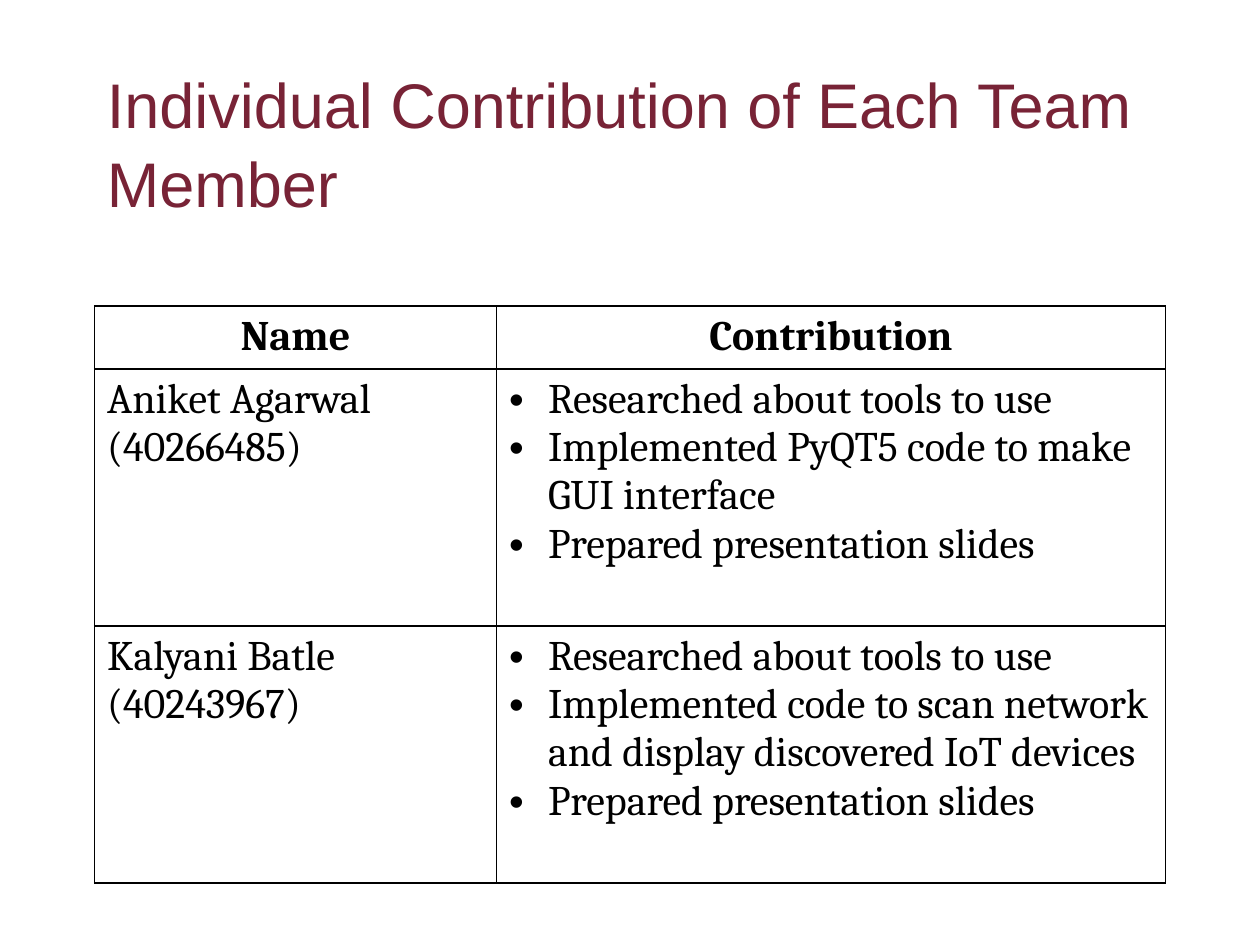
from lxml.etree import SubElement
from pptx import Presentation
from pptx.dml.color import RGBColor
from pptx.enum.text import PP_ALIGN
from pptx.oxml.ns import qn
from pptx.util import Inches, Pt

MAROON = RGBColor(0x78, 0x23, 0x36)
BLACK = RGBColor(0, 0, 0)

HEADINGS = ["Name", "Contribution"]
MEMBERS = [
    ("Aniket Agarwal (40266485)", [
        "Researched about tools to use",
        "Implemented PyQT5 code to make GUI interface",
        "Prepared presentation slides",
    ]),
    ("Kalyani Batle (40243967)", [
        "Researched about tools to use",
        "Implemented code to scan network and display discovered IoT devices",
        "Prepared presentation slides",
    ]),
]


def style_font(font, name, size, color, bold=False):
    font.name = name
    font.size = Pt(size)
    font.color.rgb = color
    font.bold = bold


def add_bullet(para):
    props = para._p.get_or_add_pPr()
    props.set("marL", str(Inches(0.31)))
    props.set("indent", str(-Inches(0.31)))
    SubElement(props, qn("a:buFont"), typeface="Arial")
    SubElement(props, qn("a:buChar"), char="•")


def add_borders(cell):
    props = cell._tc.get_or_add_tcPr()
    for side in ("lnL", "lnR", "lnT", "lnB"):
        line = SubElement(props, qn(f"a:{side}"), w=str(Pt(1)))
        fill = SubElement(line, qn("a:solidFill"))
        SubElement(fill, qn("a:srgbClr"), val=str(BLACK))


def fill_cell(cell, lines, heading=False, bulleted=False):
    add_borders(cell)
    cell.fill.background()
    cell.text_frame.text = "\n".join(lines)
    for para in cell.text_frame.paragraphs:
        if heading:
            para.alignment = PP_ALIGN.CENTER
        if bulleted:
            add_bullet(para)
        for span in para.runs:
            style_font(span.font, "Cambria", 24, BLACK, heading)


def add_title(page, left, top, width, height):
    box = page.shapes.add_textbox(left, top, width, height)
    frame = box.text_frame
    frame.word_wrap = True
    frame.margin_top = Inches(0.07)
    frame.text = "Individual Contribution of Each Team Member"
    para = frame.paragraphs[0]
    para.line_spacing = 1.05
    style_font(para.runs[0].font, "Arial", 36, MAROON)


def add_contributions(page, left, top, width, height):
    name_width = Inches(3.19)
    heading_height = Inches(0.48)
    table = page.shapes.add_table(
        len(MEMBERS) + 1, len(HEADINGS), left, top, width, height
    ).table
    table.columns[0].width = name_width
    table.columns[1].width = width - name_width
    table.rows[0].height = heading_height
    for column, heading in enumerate(HEADINGS):
        fill_cell(table.cell(0, column), [heading], heading=True)
    for row, (name, tasks) in enumerate(MEMBERS, 1):
        table.rows[row].height = (height - heading_height) // len(MEMBERS)
        fill_cell(table.cell(row, 0), [name])
        fill_cell(table.cell(row, 1), tasks, bulleted=True)


def main():
    deck = Presentation()
    deck.slide_width = Inches(10)
    deck.slide_height = Inches(7.5)
    page = deck.slides.add_slide(deck.slide_layouts[6])
    add_title(page, Inches(0.75), Inches(0.42), Inches(8.5), Inches(1.25))
    add_contributions(page, Inches(0.75), Inches(2.43), Inches(8.5), Inches(4.56))
    deck.save("out.pptx")


if __name__ == "__main__":
    main()
